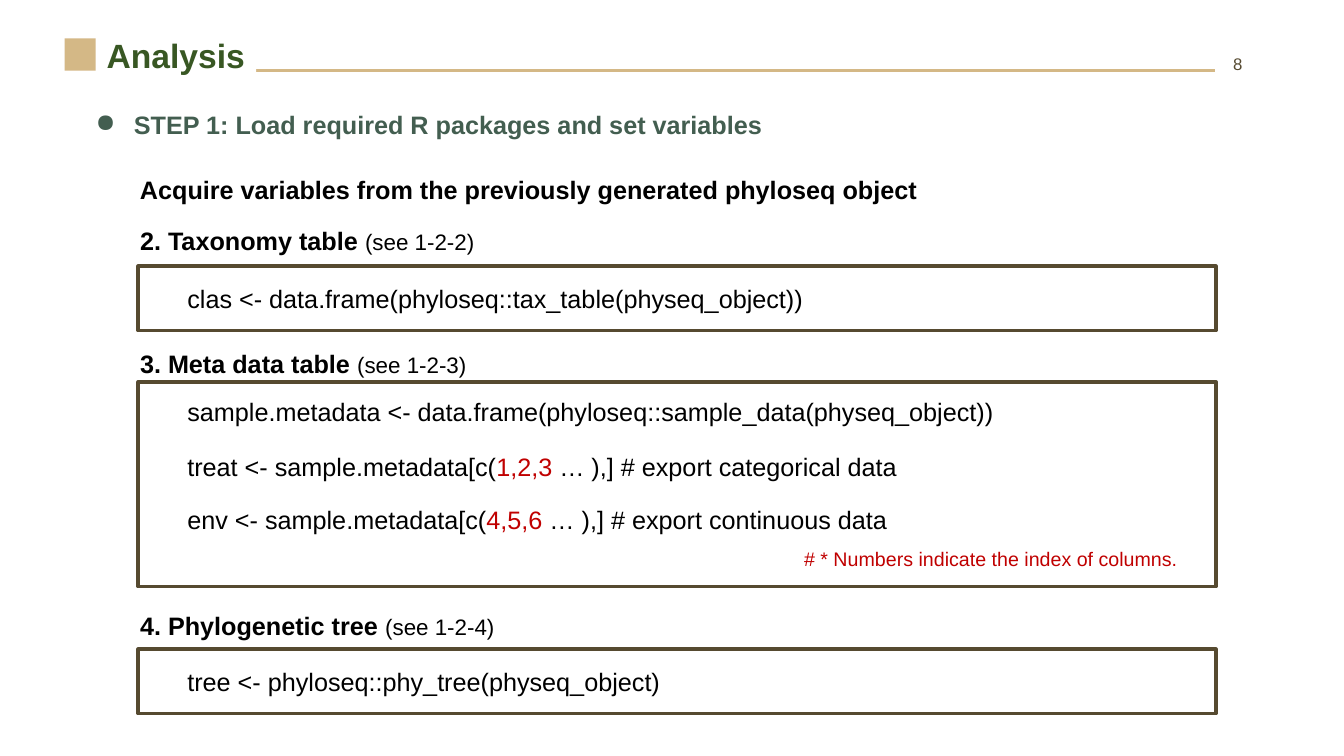
import lxml.etree
import pptx
import pptx.dml.color
import pptx.enum.shapes
import pptx.enum.text
import pptx.oxml.ns
import pptx.util

Inches = pptx.util.Inches
qn = pptx.oxml.ns.qn
RECT = pptx.enum.shapes.MSO_SHAPE.RECTANGLE
RIGHT = pptx.enum.text.PP_ALIGN.RIGHT
LEFT = pptx.enum.text.PP_ALIGN.LEFT
BLACK, RED, TAN, BROWN = "000000", "C00000", "D4B886", "564A30"
BODY = {"name": "Arial", "size": pptx.util.Pt(18), "bold": False}


def tint(code):
    return pptx.dml.color.RGBColor.from_string(code)


def apply(item, form):
    for key, value in form.items():
        setattr(item, key, value)


def write(shape, runs, align=LEFT, bullet=None):
    frame = shape.text_frame
    apply(frame, {"word_wrap": True,
                  "auto_size": pptx.enum.text.MSO_AUTO_SIZE.SHAPE_TO_FIT_TEXT})
    para = frame.paragraphs[0]
    para.alignment = align
    if bullet:
        props = para._p.get_or_add_pPr()
        props.set("marL", str(Inches(0.38)))
        props.set("indent", str(-Inches(0.38)))
        lxml.etree.SubElement(props, qn("a:buChar"), char=bullet)
    for words, color, form in runs:
        run = para.add_run()
        run.text = words
        apply(run.font, BODY | form)
        run.font.color.rgb = tint(color)


def label(slide, left, top, width, runs, height=0.4, **rest):
    box = slide.shapes.add_textbox(
        Inches(left), Inches(top), Inches(width), Inches(height))
    write(box, runs, **rest)


def block(slide, left, top, width, height, fill=None, line=None):
    shape = slide.shapes.add_shape(
        RECT, Inches(left), Inches(top), Inches(width), Inches(height))
    shape.shadow.inherit = False
    if fill:
        shape.fill.solid()
        shape.fill.fore_color.rgb = tint(fill)
    else:
        shape.fill.background()
    if line:
        shape.line.color.rgb = tint(line)
        shape.line.width = pptx.util.Pt(2.5)
    else:
        shape.line.fill.background()
    return shape


def header(slide, left, top, title, page):
    base = Inches(top + 0.4)
    rule = slide.shapes.add_connector(
        pptx.enum.shapes.MSO_CONNECTOR.STRAIGHT,
        Inches(left + 0.44), base, Inches(left + 11.41), base)
    rule.line.color.rgb = tint(TAN)
    rule.line.width = pptx.util.Pt(2.5)
    lxml.etree.SubElement(rule._element.spPr, qn("a:effectLst"))
    name = block(slide, left + 0.32, top, 1.58, 0.5, fill="FFFFFF")
    write(name, [(title, "385723", {"size": pptx.util.Pt(24), "bold": True})])
    block(slide, left, top + 0.08, 0.31, 0.32, fill=TAN)
    label(slide, left + 11.34, top + 0.18, 0.44,
          [(page, "564A31", {"size": pptx.util.Pt(12)})],
          height=0.3, align=RIGHT)


def intro(slide, left, top, step, task):
    label(slide, left, top, 10.93, [(step, "435E50", {"bold": True})],
          bullet="●")
    label(slide, left + 0.44, top + 0.64, 8.3, [(task, BLACK, {"bold": True})])


def section(slide, left, top, width, height, lift, head, ref, rows, note=None):
    block(slide, left, top, width, height, line=BROWN)
    label(slide, left - 0.08, top - lift, 7.48,
          [(head + " ", BLACK, {"bold": True}),
           (ref, BLACK, {"size": pptx.util.Pt(16)})])
    for down, parts in rows:
        label(slide, left + 0.39, top + down, 8.92,
              [(words, color, {}) for words, color in parts])
    if note:
        label(slide, left + 1.49, top + 1.59, 8.92,
              [(note, RED, {"size": pptx.util.Pt(14)})],
              height=0.34, align=RIGHT)


def export(name, cols, kind):
    return [(name + " <- sample.metadata[c(", BLACK), (cols, RED),
            (" … ),] # export " + kind + " data", BLACK)]


def main():
    deck = pptx.Presentation()
    apply(deck, {"slide_width": Inches(13.33), "slide_height": Inches(7.5)})
    slide = deck.slides.add_slide(deck.slide_layouts[6])
    header(slide, 0.64, 0.3, "Analysis", "8")
    intro(slide, 0.85, 1.04,
          "STEP 1: Load required R packages and set variables",
          "Acquire variables from the previously generated phyloseq object")
    section(slide, 1.37, 2.64, 10.69, 0.64, 0.45,
            "2. Taxonomy table", "(see 1-2-2)",
            [(0.12, [("clas <- data.frame(phyloseq::tax_table(physeq_object))",
                      BLACK)])])
    section(slide, 1.37, 3.79, 10.69, 2.03, 0.38,
            "3. Meta data table", "(see 1-2-3)",
            [(0.09, [("sample.metadata <- data.frame("
                      "phyloseq::sample_data(physeq_object))", BLACK)]),
             (0.64, export("treat", "1,2,3", "categorical")),
             (1.16, export("env", "4,5,6", "continuous"))],
            "# * Numbers indicate the index of columns.")
    section(slide, 1.37, 6.44, 10.69, 0.64, 0.43,
            "4. Phylogenetic tree", "(see 1-2-4)",
            [(0.12, [("tree <- phyloseq::phy_tree(physeq_object)", BLACK)])])
    deck.save("out.pptx")


if __name__ == "__main__":
    main()
